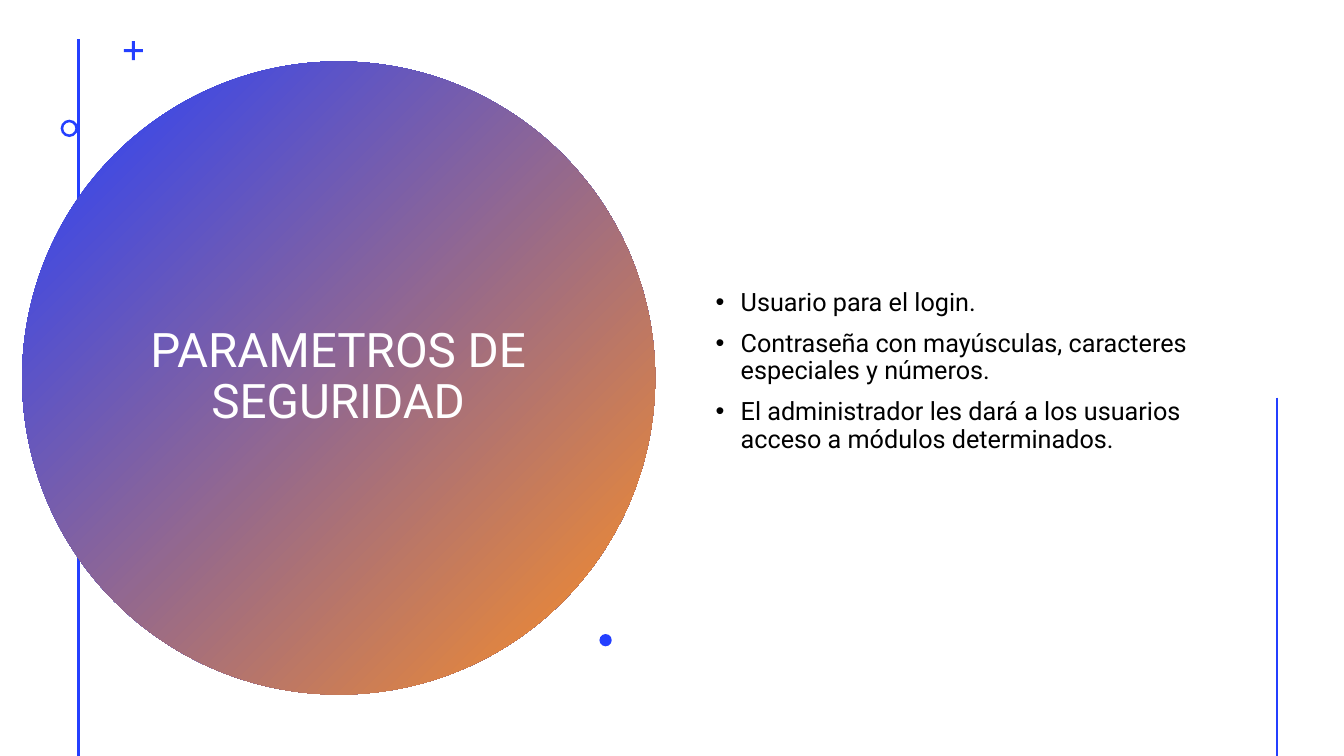
import pptx
import pptx.dml.color
import pptx.enum.shapes
import pptx.enum.text
import pptx.oxml.xmlchemy
import pptx.util
from dataclasses import dataclass
from lxml import etree

Pt = pptx.util.Pt
RGB = pptx.dml.color.RGBColor.from_string
MSO = pptx.enum.shapes.MSO_SHAPE
ALIGN = pptx.enum.text.PP_ALIGN
A = "{http://schemas.openxmlformats.org/drawingml/2006/main}"


@dataclass(frozen=True)
class Theme:
    font: str = "Roboto"
    blue: str = "243FFF"
    orange: str = "FF9022"
    white: str = "FFFFFF"
    black: str = "000000"
    title_size: float = 34
    body_size: float = 18
    line_width: float = 2
    bullet_indent: float = 18


class SlideBuilder:
    def __init__(self, slide, theme):
        self.slide = slide
        self.theme = theme

    def rule(self, x, top, bottom):
        sp = self.slide.shapes.add_connector(
            pptx.enum.shapes.MSO_CONNECTOR.STRAIGHT, Pt(x), Pt(top), Pt(x), Pt(bottom))
        sp.line.color.rgb = RGB(self.theme.blue)
        sp.line.width = Pt(self.theme.line_width)
        etree.SubElement(sp._element.spPr, A + "effectLst")

    def shape(self, kind, x, y, size, adjustment=None, end_color=None):
        """Draw a square-framed shape; end_color makes its fill a diagonal gradient."""
        sp = self.slide.shapes.add_shape(kind, Pt(x), Pt(y), Pt(size), Pt(size))
        sp.shadow.inherit = False
        sp.line.fill.background()
        if adjustment is not None:
            sp.adjustments[0] = adjustment
        if end_color:
            sp.fill.gradient()
            sp.fill.gradient_angle = 315
            for stop, color, position in zip(
                    sp.fill.gradient_stops, (self.theme.blue, end_color), (0, 1)):
                stop.color.rgb = RGB(color)
                stop.position = position
        else:
            sp.fill.solid()
            sp.fill.fore_color.rgb = RGB(self.theme.blue)

    def text(self, box, lines, size, color, paragraph_format, bulleted=False):
        sp = self.slide.shapes.add_textbox(*(Pt(v) for v in box))
        tf = sp.text_frame
        tf.word_wrap = True
        tf.vertical_anchor = pptx.enum.text.MSO_ANCHOR.MIDDLE
        for i, line in enumerate(lines):
            p = tf.add_paragraph() if i else tf.paragraphs[0]
            for name, value in paragraph_format.items():
                setattr(p, name, value)
            r = p.add_run()
            r.text = line
            for name, value in {"name": self.theme.font, "size": Pt(size)}.items():
                setattr(r.font, name, value)
            r.font.color.rgb = RGB(color)
            if bulleted:
                self.bullet(p)

    def bullet(self, p):
        indent = Pt(self.theme.bullet_indent)
        pPr = p._p.get_or_add_pPr()
        pPr.set("marL", str(indent))
        pPr.set("indent", str(-indent))
        etree.SubElement(pPr, A + "buFont", typeface="Arial")
        etree.SubElement(pPr, A + "buChar", char="•")


def main():
    prs = pptx.Presentation()
    prs.slide_width, prs.slide_height = Pt(960), Pt(540)
    theme = Theme()
    s = SlideBuilder(prs.slides.add_slide(prs.slide_layouts[6]), theme)

    s.rule(56.2, 28, 540)
    s.shape(MSO.OVAL, 15.8, 43.9, 452.2, end_color=theme.orange)
    s.text((98, 101.5, 287.3, 336.2), ["PARAMETROS DE SEGURIDAD"],
           theme.title_size, theme.white,
           {"alignment": ALIGN.CENTER, "line_spacing": 0.9})

    s.shape(MSO.CROSS, 88.4, 29.3, 13.7, adjustment=0.42)
    s.shape(MSO.DONUT, 43.3, 85.5, 12.4, adjustment=0.15)

    s.text((504, 30.2, 368.6, 470.2),
           ["Usuario para el login.",
            "Contraseña con mayúsculas, caracteres especiales y números.",
            "El administrador les dará a los usuarios acceso a módulos determinados."],
           theme.body_size, theme.black,
           {"alignment": ALIGN.LEFT, "line_spacing": 0.9, "space_before": Pt(10)},
           bulleted=True)

    s.shape(MSO.OVAL, 428.2, 452.9, 8.8)
    s.rule(912.2, 284, 540)
    prs.save("out.pptx")


if __name__ == "__main__":
    main()
